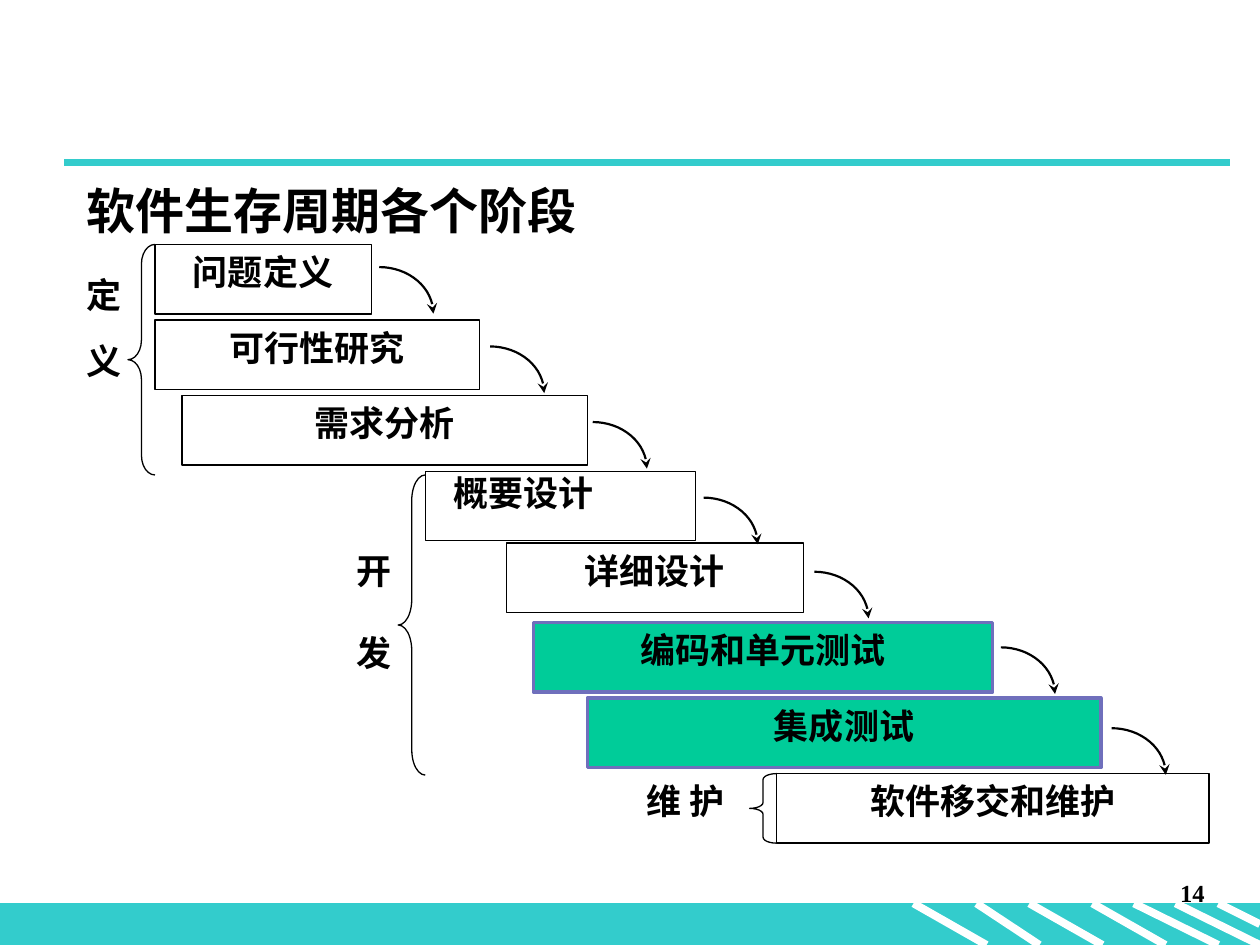
from math import cos, pi, sin
from typing import NamedTuple, Optional

from lxml.etree import SubElement
from pptx import Presentation
from pptx.dml.color import RGBColor
from pptx.enum.shapes import MSO_CONNECTOR, MSO_SHAPE
from pptx.enum.text import MSO_ANCHOR, PP_ALIGN as AL
from pptx.oxml.ns import qn
from pptx.util import Inches, Pt

COLORS = {"ink": "000000", "paper": "FFFFFF", "teal": "33CCCC",
          "green": "00CC99", "violet": "6F6FBC"}
W, H = 10, 7.5
LEFT, TOP = 1.23, 1.94        # origin of the staircase grid
COL, ROW = 0.2145, 0.6        # grid pitch
BOX_ROWS = 0.92
ARC_W, ARC_H, ARC_STEPS = 0.43, 0.37, 16
FOOT = 0.956                  # top of the footer band, share of the height


class Step(NamedTuple):
    text: str
    col: float
    row: float
    cols: float
    arrow: Optional[tuple] = None   # column and row where the arrow starts
    active: bool = False


class Phase(NamedTuple):
    lines: list
    col: float
    row: float
    cols: float
    rows: float
    align: AL
    gap: float


class Brace(NamedTuple):
    col: float
    row: float
    rows: float
    curve: float


STEPS = [
    Step("问题定义", 0, 0, 8, (8.3, 0.3)),
    Step("可行性研究", 0, 1, 12, (12.4, 1.35)),
    Step("需求分析", 1, 2, 15, (16.2, 2.35)),
    Step("", 10, 3, 10, (20.3, 3.35)),
    Step("详细设计", 13, 3.95, 11, (24.4, 4.33)),
    Step("编码和单元测试", 14, 5, 17, (31.3, 5.33), True),
    Step("集成测试", 16, 6, 19, (35.4, 6.4), True),
    Step("软件移交和维护", 23, 7, 16),
]
PHASES = [
    Phase(["维 护"], 17.15, 7, 5, BOX_ROWS, AL.CENTER, 0),
    Phase(["开", "发"], 7, 3.95, 3, 2.13, AL.JUSTIFY, 23),
    Phase(["定", "义"], -3, 0.3, 3, 2.13, AL.JUSTIFY, 13.8),
]
BRACES = [Brace(-1, 0, 3.05, 0.722), Brace(9, 3.05, 3.97, 0.939),
          Brace(22, 7, BOX_ROWS, 0.217)]
# Footer stripes: start x, end x, end y as shares of the slide
STRIPES = [(0.725, 0.783, 1), (0.775, 0.825, 1), (0.817, 0.875, 1), (0.867, 0.925, 1),
           (0.9, 0.967, 1), (0.933, 1, 1), (0.967, 1, 0.978)]


def rgb(name: str) -> RGBColor:
    return RGBColor.from_string(COLORS[name])


def cell(col: float, row: float) -> tuple:
    return Inches(LEFT + col * COL), Inches(TOP + row * ROW)


def span(cols: float, rows: float) -> tuple:
    return Inches(cols * COL), Inches(rows * ROW)


def share(x: float, y: float) -> tuple:
    return Inches(x * W), Inches(y * H)


def style(sp, fill: Optional[str], line: str, width: float) -> None:
    sp.shadow.inherit = False
    if fill:
        sp.fill.solid()
        sp.fill.fore_color.rgb = rgb(fill)
    else:
        sp.fill.background()
    sp.line.color.rgb = rgb(line)
    sp.line.width = Pt(width)


def write(sp, lines: list, align: AL = AL.LEFT, gap: float = 0, wrap: bool = True,
          **font) -> None:
    fmt = {"name": "Times New Roman", "size": Pt(20), "bold": True, **font}
    tf = sp.text_frame
    tf.word_wrap = wrap
    tf.vertical_anchor = MSO_ANCHOR.TOP
    for i, line in enumerate(lines):
        p = tf.add_paragraph() if i else tf.paragraphs[0]
        p.alignment = align
        p.space_before = Pt(gap if i else 0)
        r = p.add_run()
        r.text = line
        r.font.color.rgb = rgb("ink")
        for key, value in fmt.items():
            setattr(r.font, key, value)


def draw_line(shapes, start: tuple, end: tuple, color: str) -> None:
    cx = shapes.add_connector(MSO_CONNECTOR.STRAIGHT, *share(*start), *share(*end))
    cx.line.color.rgb = rgb(color)
    cx.line.width = Pt(4.5)
    SubElement(cx._element.spPr, qn("a:effectLst"))


def draw_step(shapes, step: Step) -> None:
    sp = shapes.add_shape(MSO_SHAPE.RECTANGLE, *cell(step.col, step.row),
                          *span(step.cols, BOX_ROWS))
    style(sp, *(("green", "violet", 2) if step.active else ("paper", "ink", 0.75)))
    if step.text:
        write(sp, [step.text], AL.CENTER)


def draw_arrow(shapes, col: float, row: float) -> None:
    """Quarter ellipse that falls to the right and ends in an arrowhead."""
    x, y = cell(col, row)
    angles = [i * pi / 2 / ARC_STEPS for i in range(1, ARC_STEPS + 1)]
    fb = shapes.build_freeform(x, y)
    fb.add_line_segments([(x + Inches(ARC_W * sin(a)), y + Inches(ARC_H * (1 - cos(a))))
                          for a in angles], close=False)
    sp = fb.convert_to_shape()
    style(sp, None, "ink", 1.25)
    SubElement(sp.line._get_or_add_ln(), qn("a:tailEnd"), type="stealth")


def draw_brace(shapes, brace: Brace) -> None:
    sp = shapes.add_shape(MSO_SHAPE.LEFT_BRACE, *cell(brace.col, brace.row),
                          *span(1, brace.rows))
    sp.adjustments[0] = brace.curve
    style(sp, None, "ink", 0.75)


def main() -> None:
    prs = Presentation()
    prs.slide_width, prs.slide_height = Inches(W), Inches(H)
    shapes = prs.slides.add_slide(prs.slide_layouts[6]).shapes

    # Footer band, stripes and header rule
    band = shapes.add_shape(MSO_SHAPE.RECTANGLE, *share(0, FOOT), *share(1, 1 - FOOT))
    style(band, "teal", "teal", 0.75)
    for x1, x2, y2 in STRIPES:
        draw_line(shapes, (x1, FOOT), (x2, y2), "paper")
    draw_line(shapes, (0.051, 0.172), (0.976, 0.172), "teal")

    # Page number
    number = shapes.add_textbox(*share(0.758, 0.923), *share(0.208, 0.067))
    write(number, ["14"], AL.RIGHT, size=Pt(14))

    # Phase names, steps, arrows and braces
    for ph in PHASES:
        label = shapes.add_textbox(*cell(ph.col, ph.row), *span(ph.cols, ph.rows))
        write(label, ph.lines, ph.align, ph.gap)
    for step in STEPS:
        draw_step(shapes, step)
    for step in STEPS:
        if step.arrow:
            draw_arrow(shapes, *step.arrow)
    for brace in BRACES:
        draw_brace(shapes, brace)

    # Loose step name and title
    design = shapes.add_textbox(*share(0.35, 0.492), *share(0.132, 0.057))
    write(design, ["概要设计"], wrap=False, name="Arial")
    title = shapes.add_textbox(*share(0.059, 0.185), *share(0.825, 0.076))
    write(title, ["软件生存周期各个阶段"], size=Pt(28))

    prs.save("out.pptx")


if __name__ == "__main__":
    main()
